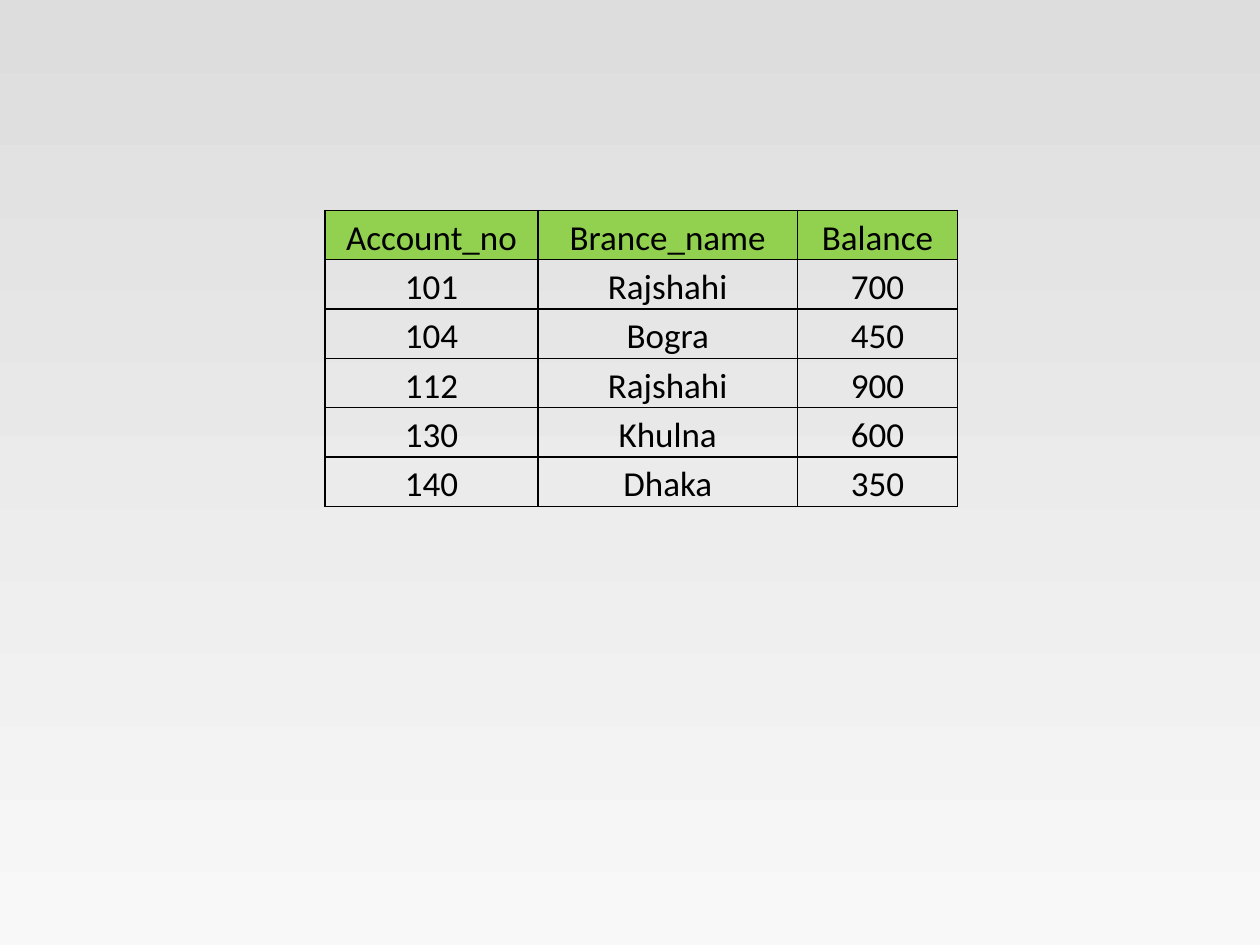
import pptx
import pptx.dml.color
import pptx.enum.text
import pptx.oxml
import pptx.oxml.ns
import pptx.util

Inches = pptx.util.Inches

# Content
HEADINGS = ("Account_no", "Brance_name", "Balance")
ACCOUNTS = [
    ("101", "Rajshahi", "700"),
    ("104", "Bogra", "450"),
    ("112", "Rajshahi", "900"),
    ("130", "Khulna", "600"),
    ("140", "Dhaka", "350"),
]

# Theme and layout
THEME = {
    "font": "Calibri",
    "size": 20,
    "line_spacing": 1.15,
    "text": "000000",
    "border": "000000",
    "border_width": 1,
    "heading_fill": "92D050",
    "background": ("DDDDDD", "F8F8F8"),
}
LEFT, TOP = 2.58, 1.67
COLUMN_WIDTHS = (1.69, 2.06, 1.27)
ROW_HEIGHT = 0.39
SIDE_MARGIN = 0.08


def rgb(value):
    return pptx.dml.color.RGBColor.from_string(value)


def add_borders(cell):
    properties = cell._tc.get_or_add_tcPr()
    width = pptx.util.Pt(THEME["border_width"])
    for side in ("lnL", "lnR", "lnT", "lnB"):
        properties.append(pptx.oxml.parse_xml(
            f'<a:{side} {pptx.oxml.ns.nsdecls("a")} w="{width}"><a:solidFill>'
            f'<a:srgbClr val="{THEME["border"]}"/></a:solidFill></a:{side}>'))


def format_cell(cell, text, is_heading):
    cell.margin_left = cell.margin_right = Inches(SIDE_MARGIN)
    cell.margin_top = cell.margin_bottom = 0
    add_borders(cell)
    if is_heading:
        cell.fill.solid()
        cell.fill.fore_color.rgb = rgb(THEME["heading_fill"])
    else:
        cell.fill.background()

    cell.text = text
    paragraph = cell.text_frame.paragraphs[0]
    paragraph.alignment = pptx.enum.text.PP_ALIGN.CENTER
    paragraph.line_spacing = THEME["line_spacing"]
    paragraph.font.name = THEME["font"]
    paragraph.font.size = pptx.util.Pt(THEME["size"])
    paragraph.font.color.rgb = rgb(THEME["text"])


def main():
    deck = pptx.Presentation()
    deck.slide_width, deck.slide_height = Inches(10), Inches(7.5)
    slide = deck.slides.add_slide(deck.slide_layouts[6])

    # Background, shading from top to bottom
    backdrop = slide.background.fill
    backdrop.gradient()
    backdrop.gradient_angle = 270
    for stop, position, color in zip(backdrop.gradient_stops, (0, 1), THEME["background"]):
        stop.position = position
        stop.color.rgb = rgb(color)

    # Account table
    rows = [HEADINGS, *ACCOUNTS]
    accounts = slide.shapes.add_table(
        len(rows), len(HEADINGS), Inches(LEFT), Inches(TOP),
        Inches(sum(COLUMN_WIDTHS)), Inches(ROW_HEIGHT * len(rows))).table
    accounts.first_row = accounts.horz_banding = False
    for column, width in zip(accounts.columns, COLUMN_WIDTHS):
        column.width = Inches(width)
    for r, values in enumerate(rows):
        accounts.rows[r].height = Inches(ROW_HEIGHT)
        for c, value in enumerate(values):
            format_cell(accounts.cell(r, c), value, r == 0)

    deck.save("out.pptx")


if __name__ == "__main__":
    main()
